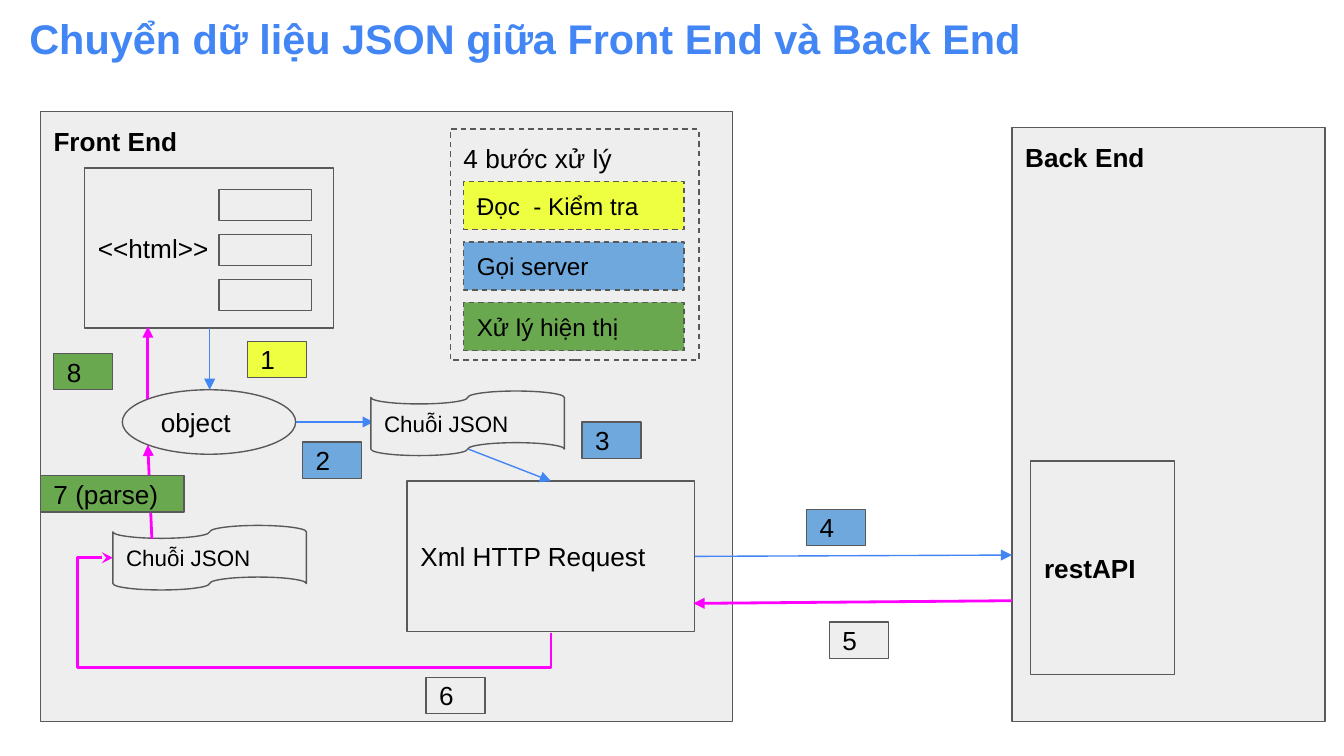
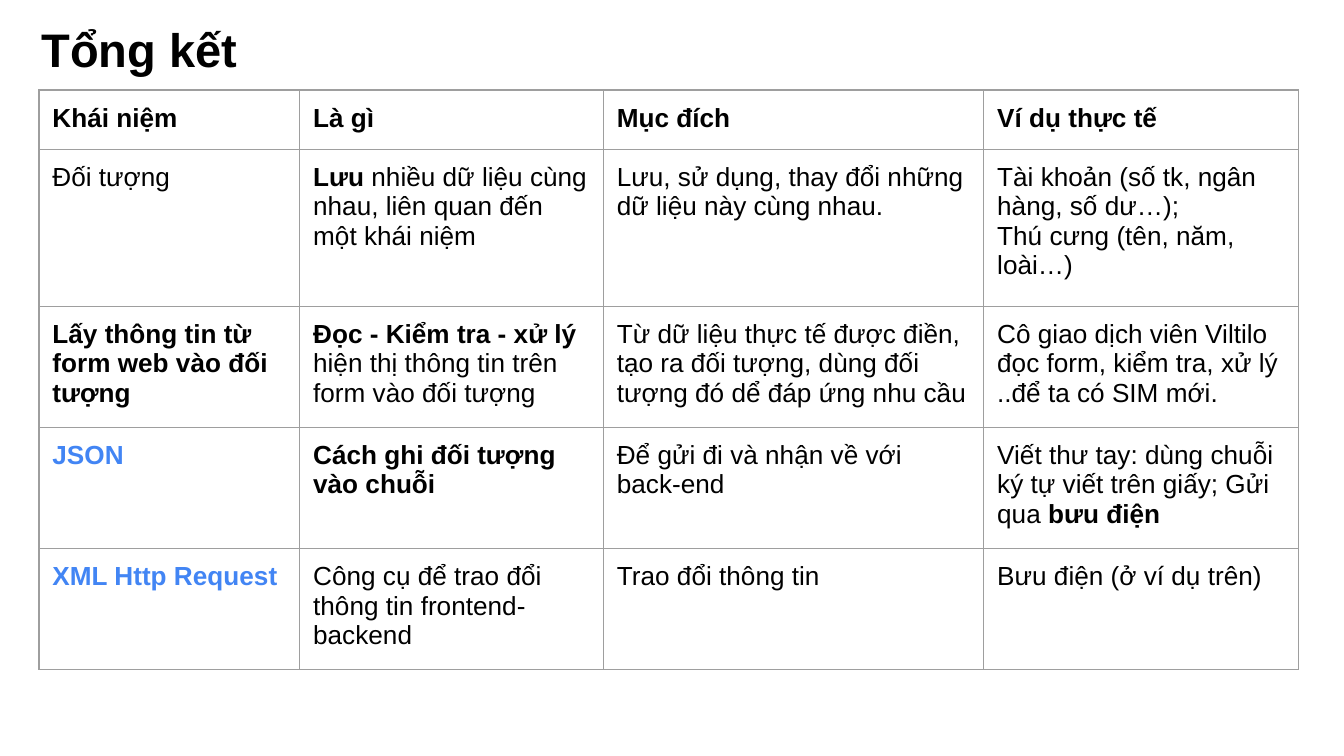
from pptx import Presentation
from pptx import util as u
from pptx.dml.color import RGBColor
from pptx.enum import dml, shapes, text
from pptx.oxml import parse_xml
from pptx.oxml.ns import nsdecls, qn

THEME = {
    "font": "Arial",
    "black": "000000", "blue": "4285F4", "pink": "FF00FF",
    "gray": "EEEEEE", "edge": "595959", "grid": "9E9E9E",
    "read": "EEFF41", "call": "6FA8DC", "show": "6AA84F",
    "body": 14, "step": 13, "tape": 12, "thin": 0.75, "thick": 1.5,
}
PAD = 0.1
TOP, MID = text.MSO_ANCHOR.TOP, text.MSO_ANCHOR.MIDDLE
KIND = shapes.MSO_SHAPE
RECT, OVAL, TAPE = KIND.RECTANGLE, KIND.OVAL, KIND.FLOWCHART_PUNCHED_TAPE

# Flow slide: label, place (left, top, width, height), format
FLOW = "Chuyển dữ liệu JSON giữa Front End và Back End"
HEAD = {"bold": True, "anchor": TOP}
PARTS = [
    ("Front End", (0.3, 0.83, 5.15, 4.54), HEAD),
    ("<<html>>", (0.63, 1.25, 1.85, 1.19), {}),
    *[("", (1.63, 1.41 + 0.335 * i, 0.69, 0.23), {}) for i in range(3)],
    ("object", (0.91, 2.9, 1.29, 0.48), {"kind": OVAL}),
    ("Chuỗi JSON", (0.84, 3.91, 1.44, 0.48), {"kind": TAPE, "size": "tape"}),
    ("Xml HTTP Request", (3.03, 3.58, 2.14, 1.12), {}),
    ("Back End", (7.53, 0.95, 2.33, 4.42), HEAD),
    ("restAPI", (7.67, 3.43, 1.07, 1.59), {"bold": True}),
]
SEND = [
    (1.56, 2.44, 1.56, 2.9), (2.2, 3.14, 2.78, 3.14),
    (3.48, 3.34, 4.1, 3.58), (5.17, 4.14, 7.53, 4.13),
]
REPLY = [
    (7.53, 4.47, 5.16, 4.49), (1.13, 4.01, 1.1, 3.31), (1.1, 2.97, 1.1, 2.43),
]
BEND = {"start": (4.1, 4.71), "end": (0.84, 4.15), "adj": (-46000, 108000)}
TAGS = [  # label, left, top, colour
    ("1", 1.84, 2.54, "read"), ("2", 2.25, 3.29, "call"),
    ("3", 4.33, 3.14, "call"), ("4", 6, 3.79, "call"),
    ("5", 6.17, 4.63, "gray"), ("6", 3.17, 5.04, "gray"),
    ("7 (parse)", 0.3, 3.54, "show"), ("8", 0.4, 2.63, "show"),
]
KEY = ("4 bước xử lý", (3.35, 0.96, 1.85, 1.72))
STEPS = [("Đọc  - Kiểm tra", "read"), ("Gọi server", "call"),
         ("Xử lý hiện thị", "show")]
OUT = ("Chuỗi JSON", (2.76, 2.91, 1.44, 0.48), {"kind": TAPE, "size": "tape"})

# Summary slide: asterisks wrap bold words, a line break starts a paragraph
SUM = "Tổng kết"
ROWS = [
    ["*Khái niệm*", "*Là gì*", "*Mục đích*", "*Ví dụ thực tế*"],
    ["Đối tượng",
     "*Lưu* nhiều dữ liệu cùng nhau, liên quan đến một khái niệm",
     "Lưu, sử dụng, thay đổi những dữ liệu này cùng nhau.",
     "Tài khoản (số tk, ngân hàng, số dư…);\nThú cưng (tên, năm, loài…)"],
    ["*Lấy thông tin từ form web vào đối tượng*",
     "*Đọc - Kiểm tra - xử lý *hiện thị thông tin trên form vào đối tượng",
     "Từ dữ liệu thực tế được điền, tạo ra đối tượng, dùng đối tượng đó "
     "dể đáp ứng nhu cầu",
     "Cô giao dịch viên Viltilo đọc form, kiểm tra, xử lý "
     "..để ta có SIM mới."],
    ["*JSON*", "*Cách ghi đối tượng vào chuỗi*",
     "Để gửi đi và nhận về với back-end",
     "Viết thư tay: dùng chuỗi ký tự viết trên giấy; Gửi qua* bưu điện*"],
    ["*XML Http Request*", "Công cụ để trao đổi thông tin frontend-backend",
     "Trao đổi thông tin", "Bưu điện (ở ví dụ trên)"],
]
BLUE = {"*JSON*", "*XML Http Request*"}
WIDE = [1.94, 2.26, 2.83, 2.34]
HIGH = [0.44, 1.17, 0.86, 0.86, 0.86]


def rgb(name):
    return RGBColor.from_string(THEME[name])


def inch(nums):
    return [u.Inches(n) for n in nums]


def apply(item, vals):
    for name, val in vals.items():
        setattr(item, name, val)


def pads(*names):
    return {"margin_" + n: u.Inches(PAD) for n in names}


SIDES = pads("left", "right", "top", "bottom")


def write(frame, words, size, tint="black", bold=False):
    """Fill a text frame; each asterisk switches bold."""
    for i, line in enumerate(words.split("\n")):
        para = frame.paragraphs[0] if i == 0 else frame.add_paragraph()
        para.alignment = text.PP_ALIGN.LEFT
        for j, bit in enumerate(line.split("*")):
            if not bit:
                continue
            run = para.add_run()
            run.text = bit
            apply(run.font, {"name": THEME["font"], "size": u.Pt(size),
                             "bold": bold or j % 2 == 1})
            run.font.color.rgb = rgb(tint)


def title(slide, words, left, top, size, tint):
    frame = slide.shapes.add_textbox(*inch((left, top, 9.32, 0.63))).text_frame
    apply(frame, {"word_wrap": True, "vertical_anchor": TOP, **SIDES})
    write(frame, words, size, tint, True)


def box(pool, words, place, kind=RECT, fill="gray", size="body",
        bold=False, anchor=MID, dash=False):
    shape = pool.add_shape(kind, *inch(place))
    shape.shadow.inherit = False
    shape.fill.solid()
    shape.fill.fore_color.rgb = rgb(fill)
    shape.line.color.rgb = rgb("edge")
    shape.line.width = u.Pt(THEME["thin"])
    if dash:
        shape.line.dash_style = dml.MSO_LINE.DASH
    if words:
        frame = shape.text_frame
        apply(frame, {"word_wrap": True, "vertical_anchor": anchor, **SIDES})
        write(frame, words, THEME[size], bold=bold)


def arrow(pool, ends, tint, width, tip="triangle",
          kind=shapes.MSO_CONNECTOR.STRAIGHT):
    line = pool.add_connector(kind, *inch(ends))
    line.line.color.rgb = rgb(tint)
    line.line.width = u.Pt(THEME[width])
    props = line.element.spPr
    props.find(qn("a:ln")).append(
        parse_xml(f'<a:tailEnd {nsdecls("a")} type="{tip}"/>'))
    props.append(parse_xml(f'<a:effectLst {nsdecls("a")}/>'))
    return props


def bend(pool, start, end, adj):
    """Draw a four-part elbow, turned a quarter so it leaves downward."""
    midx, midy = [(a + b) / 2 for a, b in zip(start, end)]
    tall, wide = [abs(a - b) / 2 for a, b in zip(start, end)]
    ends = (midx + wide, midy - tall, midx - wide, midy + tall)
    props = arrow(pool, ends, "pink", "thick", "stealth",
                  shapes.MSO_CONNECTOR.ELBOW)
    props.find(qn("a:xfrm")).set("rot", "5400000")
    geom = props.find(qn("a:prstGeom"))
    geom.set("prst", "bentConnector4")
    for old in list(geom):
        geom.remove(old)
    gaps = "".join(f'<a:gd name="adj{i}" fmla="val {v}"/>'
                   for i, v in enumerate(adj, 1))
    geom.append(parse_xml(f'<a:avLst {nsdecls("a")}>{gaps}</a:avLst>'))


def border(cell):
    props = cell._tc.get_or_add_tcPr()
    for i, side in enumerate("LRTB"):
        props.insert(i, parse_xml(
            f'<a:ln{side} {nsdecls("a")} w="{u.Pt(THEME["thin"])}">'
            f'<a:solidFill><a:srgbClr val="{THEME["grid"]}"/></a:solidFill>'
            f'</a:ln{side}>'))


def flow(slide):
    pool = slide.shapes
    title(slide, FLOW, 0.12, 0, 22.2, "blue")
    for words, place, look in PARTS:
        box(pool, words, place, **look)
    for ends in SEND:
        arrow(pool, ends, "blue", "thin")
    for ends in REPLY:
        arrow(pool, ends, "pink", "thick")
    bend(pool, **BEND)
    for words, left, top, fill in TAGS:
        wide = 0.44 if len(words) == 1 else 1.07
        box(pool, words, (left, top, wide, 0.27), fill=fill)
    group = pool.add_group_shape().shapes
    box(group, *KEY, anchor=TOP, dash=True)
    for i, (words, fill) in enumerate(STEPS):
        box(group, words, (3.45, 1.35 + 0.45 * i, 1.64, 0.36),
            fill=fill, size="step", dash=True)
    words, place, look = OUT
    box(pool, words, place, **look)


def recap(slide):
    title(slide, SUM, 0.21, 0.05, 25.2, "black")
    area = inch((0.29, 0.67, sum(WIDE), sum(HIGH)))
    table = slide.shapes.add_table(len(ROWS), len(WIDE), *area).table
    apply(table, {"first_row": False, "horz_banding": False})
    for col, wide in zip(table.columns, WIDE):
        col.width = u.Inches(wide)
    for row, high, line in zip(table.rows, HIGH, ROWS):
        row.height = u.Inches(high)
        for cell, words in zip(row.cells, line):
            apply(cell, {"vertical_anchor": TOP, **SIDES})
            cell.fill.background()
            border(cell)
            write(cell.text_frame, words, THEME["body"],
                  "blue" if words in BLUE else "black")


def main():
    deck = Presentation()
    apply(deck, {"slide_width": u.Inches(10), "slide_height": u.Inches(5.625)})
    for draw in (flow, recap):
        draw(deck.slides.add_slide(deck.slide_layouts[6]))
    deck.save("out.pptx")


if __name__ == "__main__":
    main()
